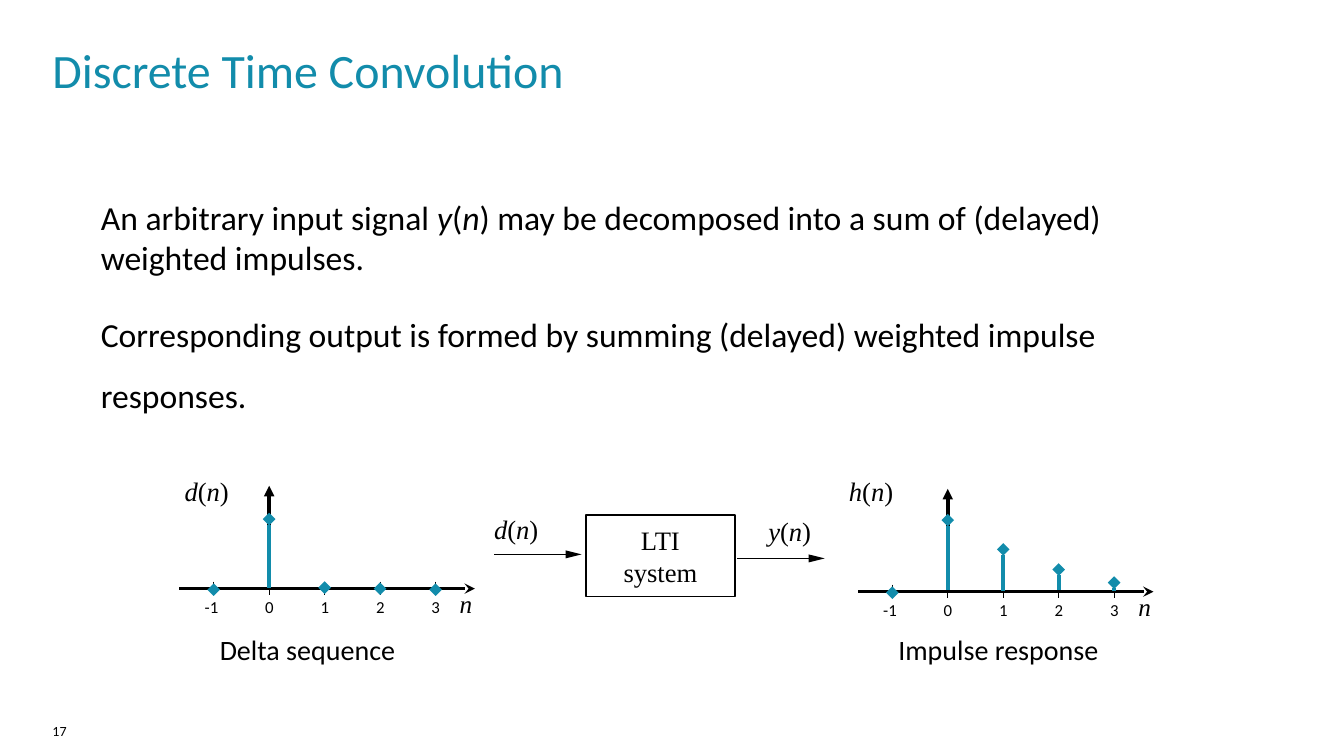
from dataclasses import dataclass

from lxml.etree import SubElement
from pptx import Presentation
from pptx.dml.color import RGBColor
from pptx.enum.shapes import MSO_CONNECTOR, MSO_SHAPE
from pptx.enum.text import MSO_ANCHOR, PP_ALIGN
from pptx.oxml.ns import qn
from pptx.util import Pt

PIXEL = 9144  # 100 px to the inch


@dataclass(frozen=True)
class Theme:
    black: RGBColor = RGBColor(0x00, 0x00, 0x00)
    white: RGBColor = RGBColor(0xFF, 0xFF, 0xFF)
    teal: RGBColor = RGBColor(0x12, 0x8C, 0xAB)
    sans: str = "Calibri"
    serif: str = "Times New Roman"
    title: float = 34.2
    body: float = 24
    caption: float = 20
    formula: float = 19
    axis_name: float = 18
    tick: float = 12
    page: float = 10
    thin: float = 0.75
    outline: float = 1.13
    axis: float = 2.5
    stem: float = 3


class SlideBuilder:
    def __init__(self, slide, theme):
        self.slide = slide
        self.shapes = slide.shapes
        self.theme = theme

    def place(self, shape, left, top, width, height):
        shape.left, shape.top = left * PIXEL, top * PIXEL
        shape.width, shape.height = width * PIXEL, height * PIXEL

    def set_text(self, shape, lines, size, font=None, color=None,
                 align=PP_ALIGN.LEFT, anchor=MSO_ANCHOR.TOP, wrap=True):
        """Fill a shape with one paragraph per line; *asterisks* enclose italics."""
        frame = shape.text_frame
        frame.word_wrap = wrap
        frame.vertical_anchor = anchor
        frame.margin_left = frame.margin_right = 0
        frame.margin_top = frame.margin_bottom = 0
        for index, line in enumerate(lines):
            paragraph = frame.add_paragraph() if index else frame.paragraphs[0]
            paragraph.alignment = align
            paragraph.font.size = Pt(size)
            paragraph.font.name = font or self.theme.sans
            paragraph.font.color.rgb = color or self.theme.black
            for position, part in enumerate(line.split("*")):
                if part:
                    run = paragraph.add_run()
                    run.text = part
                    if position % 2:
                        run.font.italic = True
        return frame.paragraphs

    def title(self, text, box):
        shape = self.shapes.title
        self.place(shape, *box)
        self.set_text(shape, [text], self.theme.title, color=self.theme.teal,
                      anchor=MSO_ANCHOR.MIDDLE)

    def body(self, lines, box):
        shape = self.slide.placeholders[1]
        self.place(shape, *box)
        paragraphs = self.set_text(shape, lines, self.theme.body, wrap=False)
        for paragraph in paragraphs:
            paragraph.line_spacing = 1.5
            paragraph.space_before = Pt(0)
            properties = paragraph._p.get_or_add_pPr()
            properties.set("marL", "0")
            properties.set("indent", "0")
            properties.insert_element_before(
                properties.makeelement(qn("a:buNone")),
                "a:tabLst", "a:defRPr", "a:extLst")
        return paragraphs

    def text(self, text, box, size, font=None):
        shape = self.shapes.add_textbox(0, 0, 0, 0)
        self.place(shape, *box)
        self.set_text(shape, [text], size, font)

    def formula(self, text, left, top):
        self.text(text, (left, top, 68, 32), self.theme.formula, self.theme.serif)

    def line(self, start, end, width, color=None, arrowhead=None):
        ends = [value * PIXEL for value in (*start, *end)]
        connector = self.shapes.add_connector(MSO_CONNECTOR.STRAIGHT, *ends)
        connector.line.color.rgb = color or self.theme.black
        connector.line.width = Pt(width)
        properties = connector.element.spPr
        if arrowhead:
            SubElement(properties.find(qn("a:ln")), qn("a:tailEnd"), type=arrowhead)
        SubElement(properties, qn("a:effectLst"))

    def signal_arrow(self, left, y):
        """Thin line with a long, slim solid head."""
        tip, back = left + 87, left + 71
        self.line((left, y), (left + 81, y), self.theme.outline)
        builder = self.shapes.build_freeform(tip, y, scale=PIXEL)
        builder.add_line_segments([(back, y + 4), (back, y - 4)], close=True)
        head = builder.convert_to_shape()
        head.shadow.inherit = False
        head.fill.solid()
        head.fill.fore_color.rgb = self.theme.black
        head.line.fill.background()

    def system_box(self, lines, box):
        shape = self.shapes.add_shape(MSO_SHAPE.RECTANGLE, 0, 0, 0, 0)
        self.place(shape, *box)
        shape.shadow.inherit = False
        shape.fill.solid()
        shape.fill.fore_color.rgb = self.theme.white
        shape.line.color.rgb = self.theme.black
        shape.line.width = Pt(self.theme.outline)
        self.set_text(shape, lines, self.theme.formula, self.theme.serif,
                      align=PP_ALIGN.CENTER, anchor=MSO_ANCHOR.MIDDLE)

    def stem_plot(self, left, base, name, name_left, caption, stems):
        """Axes with samples from n = -1; each stem is (foot, tip) below the base."""
        theme = self.theme
        first_tick, step = left + 34, 55
        origin = first_tick + step
        self.line((origin, base + 1), (origin, base - 102), theme.axis,
                  arrowhead="triangle")
        self.line((left, base), (left + 293, base), theme.axis, arrowhead="stealth")
        for index, (foot, tip) in enumerate(stems):
            x = first_tick + index * step
            label = str(index - 1)
            self.line((x, base - 7), (x, base + 6), theme.thin)
            self.text(label, (x + 1 - 5 * len(label), base + 8, 27, 28), theme.tick)
            self.line((x, base + foot), (x, base + tip), theme.stem, theme.teal,
                      "diamond")
        self.text("*n*", (left + 278, base, 17, 28), theme.axis_name, theme.serif)
        self.formula(name, name_left, 471)
        self.text(caption, (left + 40, 627, 214, 34), theme.caption)


def main():
    presentation = Presentation()
    presentation.slide_width = 1333 * PIXEL
    presentation.slide_height = 750 * PIXEL
    slide = presentation.slides.add_slide(presentation.slide_layouts[1])
    theme = Theme()
    builder = SlideBuilder(slide, theme)

    builder.title("Discrete Time Convolution", (52, 37, 1220, 63))
    paragraphs = builder.body([
        "An arbitrary input signal *y*(*n*) may be decomposed into a sum of (delayed)",
        "weighted impulses.",
        "Corresponding output is formed by summing (delayed) weighted impulse responses.",
    ], (100, 175, 1037, 203))
    paragraphs[1].line_spacing = 1.0
    paragraphs[1].space_after = Pt(12)

    builder.formula("*d*(*n*)", 490, 509)
    builder.signal_arrow(490, 550)
    builder.system_box(["LTI", "system"], (581, 511, 148, 81))
    builder.formula("*y*(*n*)", 762, 511)
    builder.signal_arrow(731, 554)

    builder.stem_plot(178, 584, "*d*(*n*)", 183, "Delta sequence",
                      [(5, 1), (-1, -69), (3, -1), (4, 0), (5, 1)])
    builder.stem_plot(851, 587, "*h*(*n*)", 842, "Impulse response",
                      [(4, 1), (-2, -71), (-1, -42), (-2, -22), (-1, -9)])

    builder.text("17", (52, 717, 142, 26), theme.page)
    presentation.save("out.pptx")


if __name__ == "__main__":
    main()
